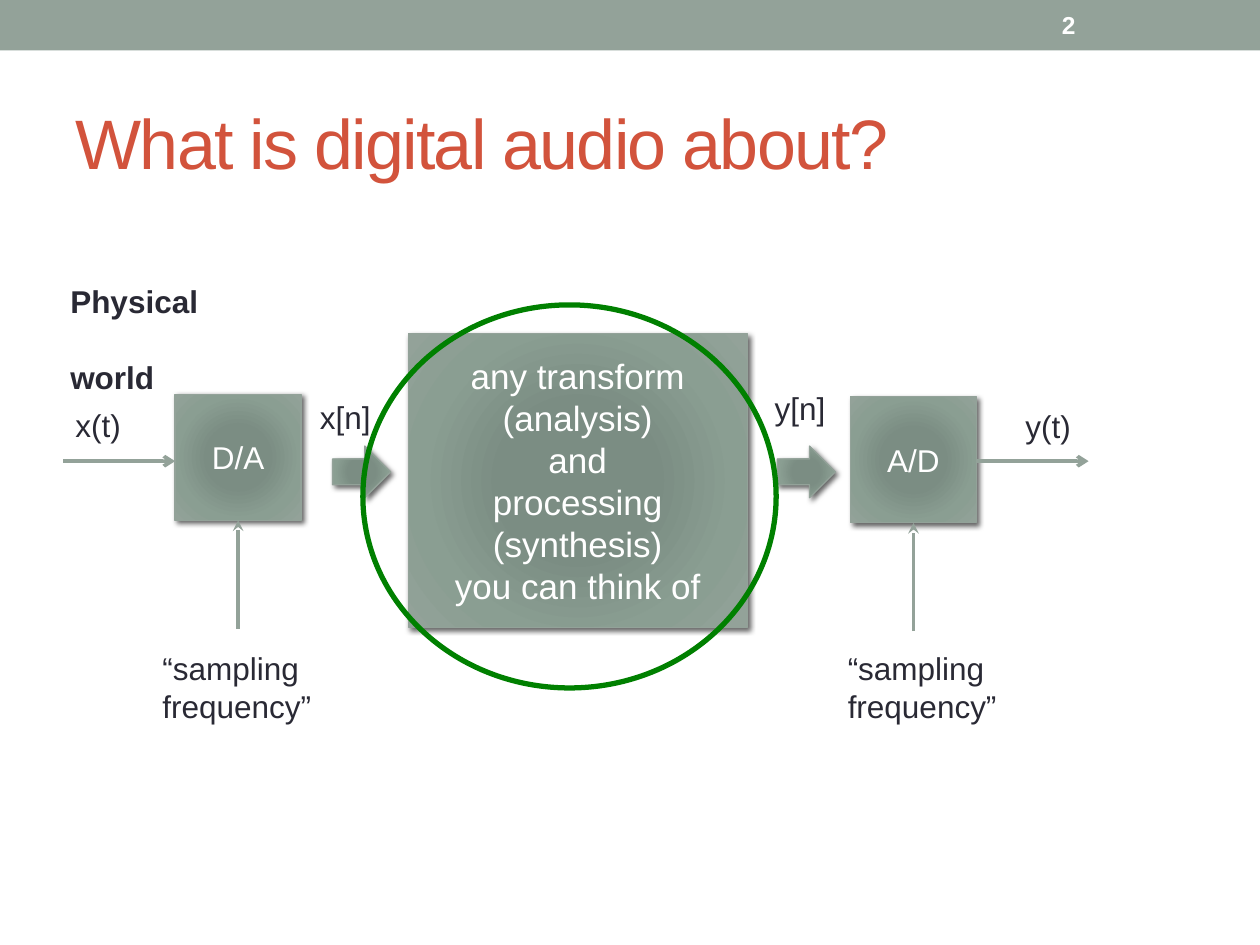
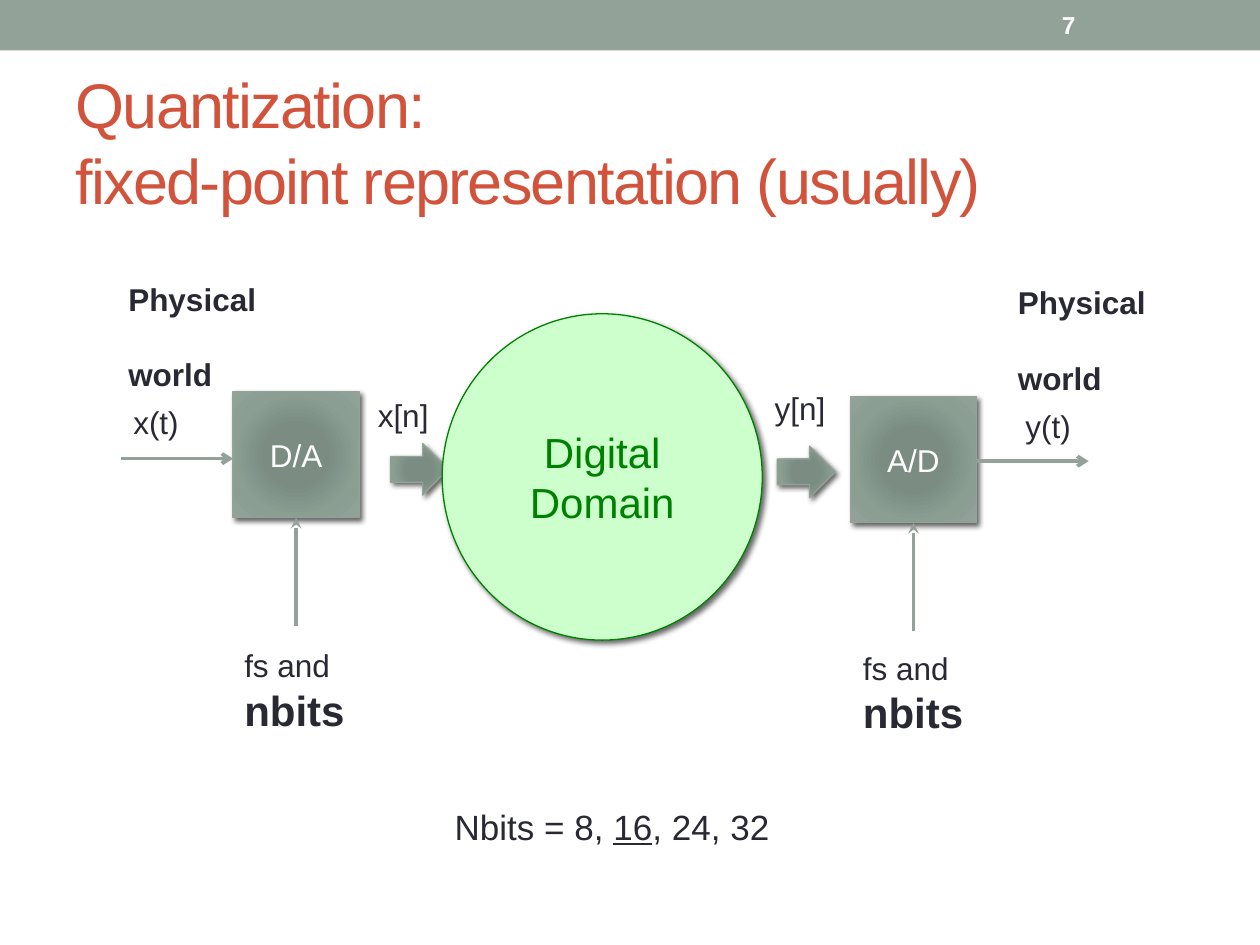
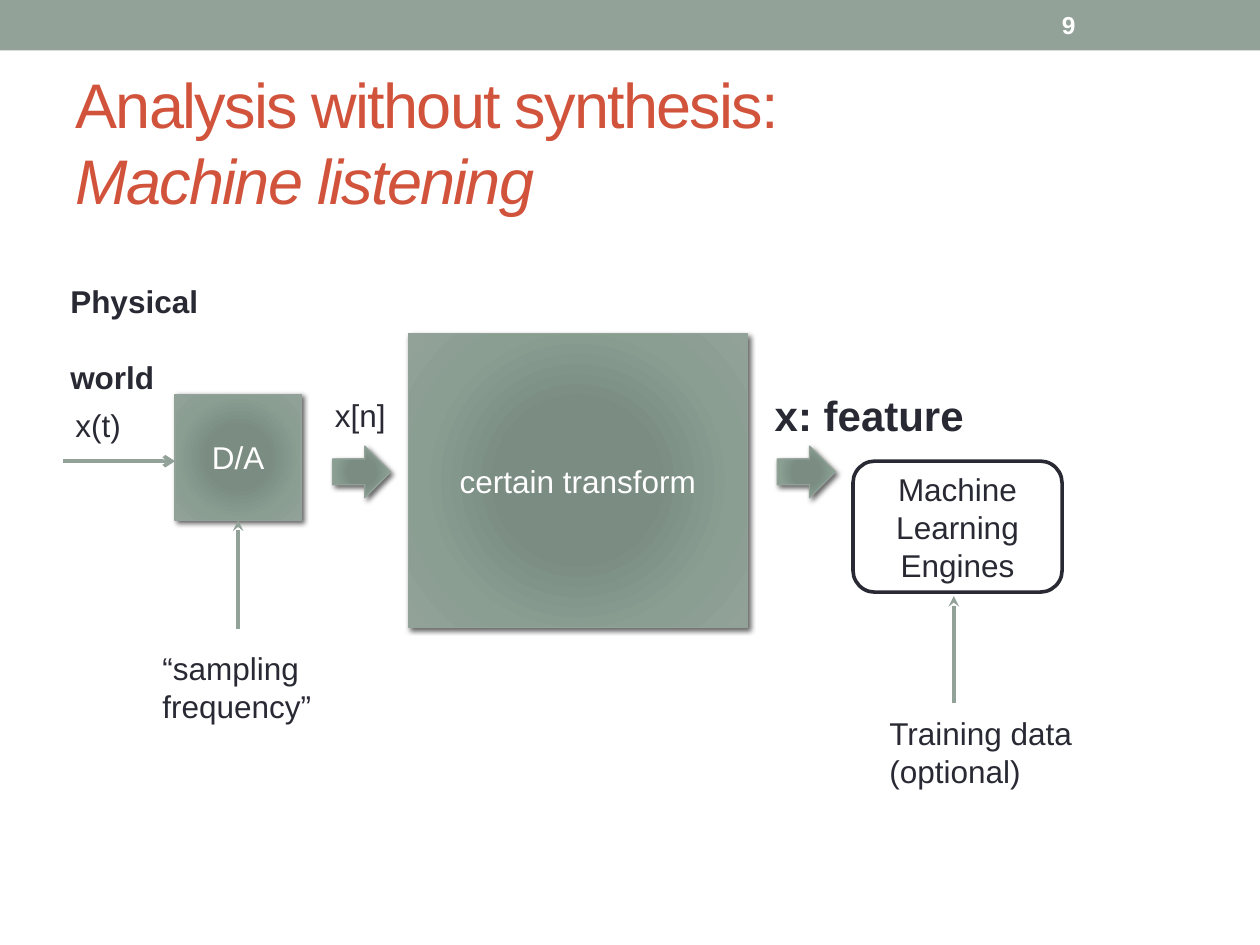
import pptx
import pptx.dml.color
import pptx.enum.shapes
import pptx.enum.text
import pptx.oxml
import pptx.oxml.ns
import pptx.util

Inches = pptx.util.Inches
Shape = pptx.enum.shapes.MSO_SHAPE
Align = pptx.enum.text.PP_ALIGN
Anchor = pptx.enum.text.MSO_ANCHOR
AutoSize = pptx.enum.text.MSO_AUTO_SIZE
qn = pptx.oxml.ns.qn

SAGE = "93A299"
RUST = "D2533C"
INK = "292934"
WHITE = "FFFFFF"
GREEN = "008000"
MINT = "CCFFCC"
GLOW = [(0, "7B8E82"), (34, "7B8D83"), (70, "8A9E92"), (100, SAGE)]
SAMPLING = ["“sampling\nfrequency”"]
FS_AND_NBITS = [["fs and\n", ("nbits", {"size": 24, "bold": True})]]


def color(value):
    return pptx.dml.color.RGBColor.from_string(value)


def xml(markup):
    head, rest = markup.split(">", 1)
    slash = "/" if head.endswith("/") else ""
    return pptx.oxml.parse_xml(f"{head.rstrip('/')} {pptx.oxml.ns.nsdecls('a')}{slash}>{rest}")


def write(frame, paragraphs, align=Align.LEFT, gap=0, spacing=0, **look):
    for index, runs in enumerate(paragraphs):
        para = frame.add_paragraph() if index else frame.paragraphs[0]
        para.alignment = align
        if index and gap:
            para.space_before = pptx.util.Pt(gap)
        for run in [runs] if isinstance(runs, str) else runs:
            text, changes = (run, {}) if isinstance(run, str) else run
            style = {"size": 18, "ink": INK, **look, **changes}
            for number, piece in enumerate(text.split("\n")):
                if number:
                    para.add_line_break()
                if not piece:
                    continue
                span = para.add_run()
                span.text = piece
                span.font.name = "Arial"
                span.font.size = pptx.util.Pt(style["size"])
                span.font.color.rgb = color(style["ink"])
                span.font.bold = style.get("bold", False)
                span.font.italic = style.get("italic", False)
                span.font.underline = style.get("underline", False)
                if spacing:
                    span.font._element.set("spc", str(spacing * 100))


class AudioDeck:
    def __init__(self):
        self.deck = pptx.Presentation()
        self.deck.slide_width = Inches(10)
        self.deck.slide_height = Inches(7.5)
        self.page = None

    def start(self, number, title, size):
        self.page = self.deck.slides.add_slide(self.deck.slide_layouts[5])
        if len(self.deck.slides) == 1:
            self.add_master_band()
        heading = self.page.shapes.title
        heading.left, heading.top = Inches(0.5), Inches(0.58)
        heading.width, heading.height = Inches(9), Inches(1.08)
        frame = heading.text_frame
        frame.auto_size = AutoSize.NONE
        frame.vertical_anchor = Anchor.MIDDLE
        write(frame, [title], size=size, ink=RUST, spacing=-1)
        corner = self.page.shapes.add_textbox(Inches(8.33), Inches(0.02), Inches(1.17), Inches(0.36))
        corner.text_frame.word_wrap = True
        corner.text_frame.vertical_anchor = Anchor.MIDDLE
        write(corner.text_frame, [str(number)], size=14, ink=WHITE, bold=True)

    def add_master_band(self):
        band = self.shape(Shape.RECTANGLE, 0, 0, 10, 0.4, fill=SAGE)
        band.element.nvSpPr.cNvPr.set("id", "99")
        self.deck.slide_master.shapes.element.append(band.element)

    def shape(self, kind, left, top, width, height, paragraphs=(), fill=None, line=None,
              weight=0.75, shadow=False, **look):
        box = self.page.shapes.add_shape(kind, Inches(left), Inches(top), Inches(width), Inches(height))
        box.shadow.inherit = False
        if fill:
            box.fill.solid()
            box.fill.fore_color.rgb = color(fill)
        else:
            box.fill.background()
        if line:
            box.line.color.rgb = color(line)
            box.line.width = pptx.util.Pt(weight)
        else:
            box.line.fill.background()
        if shadow:
            box.element.spPr.find(qn("a:effectLst")).append(xml(
                '<a:outerShdw blurRad="38100" dist="25400" dir="2700000" rotWithShape="0">'
                '<a:srgbClr val="000000"><a:alpha val="60000"/></a:srgbClr></a:outerShdw>'))
        box.text_frame.word_wrap = True
        box.text_frame.vertical_anchor = Anchor.MIDDLE
        write(box.text_frame, paragraphs, align=Align.CENTER, **look)
        return box

    def block(self, kind, left, top, width, height, paragraphs=(), size=18):
        box = self.shape(kind, left, top, width, height, paragraphs, fill=SAGE, line=SAGE,
                         shadow=True, size=size, ink=WHITE)
        stops = "".join(f'<a:gs pos="{place * 1000}"><a:srgbClr val="{tint}"/></a:gs>'
                        for place, tint in GLOW)
        properties = box.element.spPr
        properties.replace(properties.find(qn("a:solidFill")), xml(
            f'<a:gradFill rotWithShape="1"><a:gsLst>{stops}</a:gsLst><a:path path="circle">'
            '<a:fillToRect l="100000" t="100000" r="100000" b="100000"/></a:path></a:gradFill>'))

    def label(self, left, top, width, height, paragraphs, **look):
        box = self.page.shapes.add_textbox(Inches(left), Inches(top), Inches(width), Inches(height))
        box.text_frame.word_wrap = False
        box.text_frame.auto_size = AutoSize.SHAPE_TO_FIT_TEXT
        write(box.text_frame, paragraphs, **look)

    def arrow(self, start_x, start_y, end_x, end_y, head):
        line = self.page.shapes.add_connector(
            pptx.enum.shapes.MSO_CONNECTOR.STRAIGHT,
            Inches(start_x), Inches(start_y), Inches(end_x), Inches(end_y))
        line.line.color.rgb = color(SAGE)
        line.line.width = pptx.util.Pt(2.08)
        line.line._get_or_add_ln().append(xml(f'<a:tailEnd type="{head}"/>'))
        line._element.spPr.append(xml("<a:effectLst/>"))

    def signal_arrow(self, left, top):
        self.block(Shape.RIGHT_ARROW, left, top, 0.46, 0.41)

    def physical_world(self, left, top):
        self.label(left, top, 1.23, 0.71, ["Physical", "world"], bold=True, gap=21.6)

    def converter(self, name, left, top):
        self.block(Shape.RECTANGLE, left, top, 1, 1, [name])
        self.arrow(left + 0.5, top + 1.86, left + 0.5, top + 1, "stealth")

    def input_side(self, left=0.5, top=3.13, sample_at=(2.44, 3.11)):
        self.converter("D/A", left + 0.89, top)
        self.signal_arrow(left + 2.14, top + 0.41)
        self.label(left, top + 0.04, 0.57, 0.4, ["x(t)"])
        self.physical_world(left - 0.04, top - 0.94)
        self.label(*sample_at, 0.61, 0.4, ["x[n]"])
        self.arrow(left, top + 0.53, left + 0.89, top + 0.53, "arrow")

    def output_side(self):
        self.converter("A/D", 6.75, 3.15)
        self.signal_arrow(6.17, 3.54)
        self.label(6.05, 3.04, 0.62, 0.4, ["y[n]"])
        self.label(8.04, 3.18, 0.58, 0.4, ["y(t)"])
        self.arrow(7.75, 3.66, 8.64, 3.66, "arrow")

    def transform(self, paragraphs, size=18):
        self.block(Shape.RECTANGLE, 3.24, 2.65, 2.69, 2.33, paragraphs, size)


def about_slide(audio):
    audio.start(2, "What is digital audio about?", 40)
    audio.transform(["any transform (analysis)", "and",
                     "processing (synthesis)\nyou can think of"], size=20)
    audio.input_side()
    audio.output_side()
    for left in (1.19, 6.63):
        audio.label(left, 5.1, 1.39, 0.71, SAMPLING)
    audio.shape(Shape.OVAL, 2.88, 2.42, 3.28, 3.04, line=GREEN, weight=3)


def quantization_slide(audio):
    audio.start(7, "Quantization:\nfixed-point representation (usually)", 36)
    audio.input_side(0.96, 3.11, (2.9, 3.09))
    audio.output_side()
    audio.physical_world(7.98, 2.2)
    for left, top in ((1.84, 5.08), (6.75, 5.1)):
        audio.label(left, top, 1.01, 0.8, FS_AND_NBITS)
    audio.shape(Shape.OVAL, 3.51, 2.49, 2.54, 2.59, ["Digital Domain"], fill=MINT, line=GREEN,
                shadow=True, size=24, ink=GREEN)
    audio.label(3.51, 6.34, 2.72, 0.44,
                [["Nbits = 8, ", ("16", {"underline": True}), ", 24, 32"]], size=20)


def listening_slide(audio):
    audio.start(9, ["Analysis without synthesis:\n", ("Machine listening", {"italic": True})], 36)
    audio.transform(["certain transform"])
    audio.input_side(sample_at=(2.56, 3.09))
    audio.label(1.19, 5.1, 1.39, 0.71, SAMPLING)
    audio.signal_arrow(6.17, 3.54)
    audio.label(6.05, 3.04, 1.72, 0.5, ["x: feature"], size=24, bold=True)
    audio.shape(Shape.ROUNDED_RECTANGLE, 6.77, 3.66, 1.66, 1.04, ["Machine Learning", "Engines"],
                fill=WHITE, line=INK, weight=2.08)
    audio.arrow(7.57, 5.58, 7.57, 4.73, "stealth")
    audio.label(6.96, 5.62, 1.67, 0.71, ["Training data\n(optional)"])


def main():
    audio = AudioDeck()
    about_slide(audio)
    quantization_slide(audio)
    listening_slide(audio)
    audio.deck.save("out.pptx")


if __name__ == "__main__":
    main()
